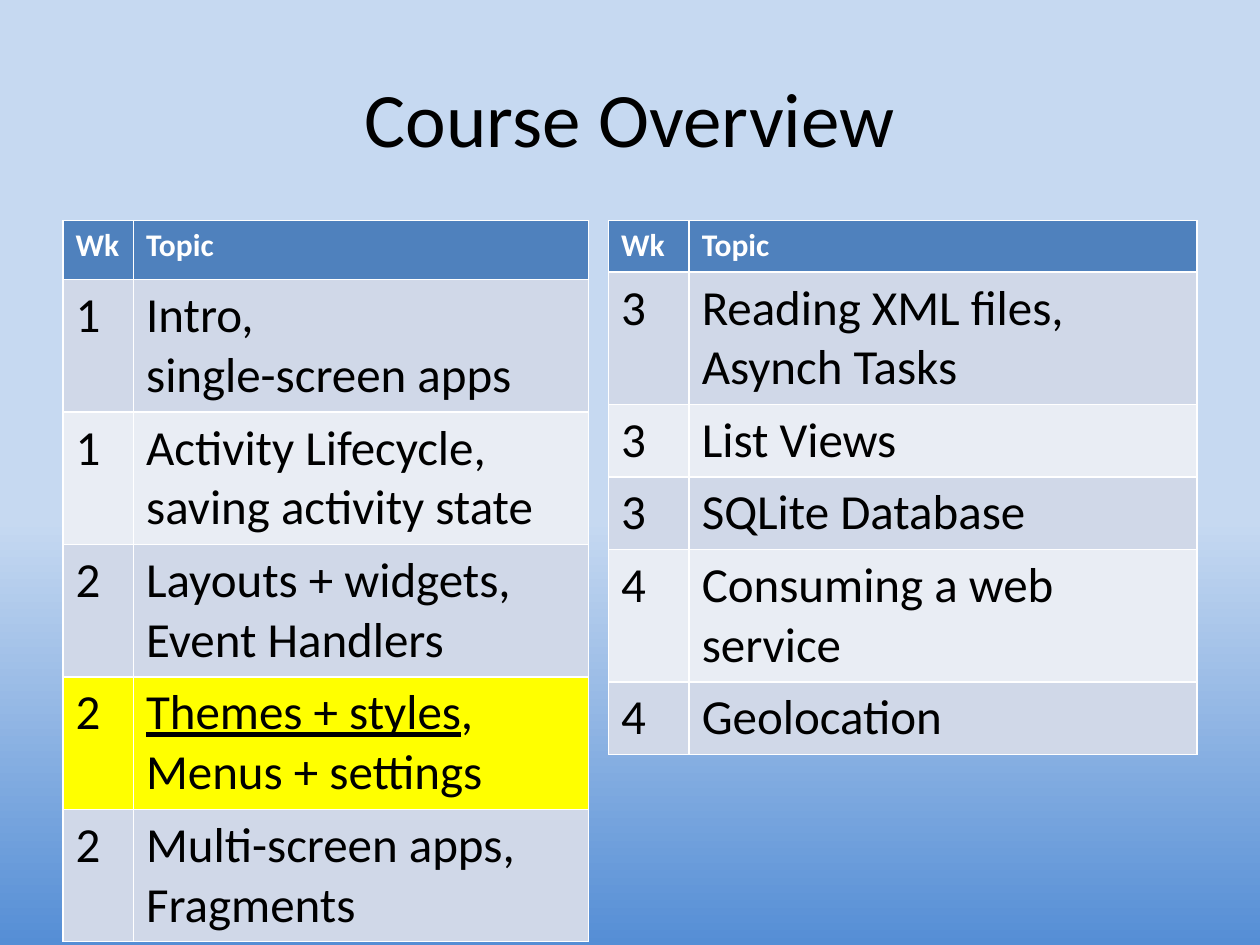
from pptx import Presentation
from pptx import util as u
from pptx.dml import color
from pptx.enum import text

COLORS = {
    "sky": "C6D9F1", "blue": "558ED5", "header": "4F81BD", "white": "FFFFFF",
    "black": "000000", "odd": "D0D8E8", "even": "E9EDF4", "current": "FFFF00",
}
CURRENT = "Themes + styles,\nMenus + settings"
TABLES = [
    (0.5, [0.56, 3.61], [0.47] + [1.05] * 5, [
        ("1", "Intro, \vsingle-screen apps"),
        ("1", "Activity Lifecycle, saving activity state"),
        ("2", "Layouts + widgets,\nEvent Handlers"),
        ("2", CURRENT),
        ("2", "Multi-screen apps, Fragments"),
    ]),
    (4.83, [0.64, 4.03], [0.41, 1.05, 0.57, 0.57, 1.05, 0.57], [
        ("3", "Reading XML files,\nAsynch Tasks"),
        ("3", "List Views"),
        ("3", "SQLite Database"),
        ("4", "Consuming a web service"),
        ("4", "Geolocation"),
    ]),
]


def rgb(name):
    return color.RGBColor.from_string(COLORS[name])


def style(p, size, name, bold=False):
    p.font.name = "Calibri"
    p.font.size = u.Pt(size)
    p.font.bold = bold
    p.font.color.rgb = rgb(name)


prs = Presentation()
prs.slide_width, prs.slide_height = u.Inches(10), u.Inches(7.5)
s = prs.slides.add_slide(prs.slide_layouts[5])

bg = s.background.fill
bg.gradient()
bg.gradient_angle = 270
for stop, position, name in zip(bg.gradient_stops, (0.55, 1), ("sky", "blue")):
    stop.position = position
    stop.color.rgb = rgb(name)

title = s.shapes.title
title.left, title.top = u.Inches(0.5), u.Inches(0.3)
title.width, title.height = u.Inches(9), u.Inches(1.25)
tf = title.text_frame
tf.text = "Course Overview"
tf.vertical_anchor = text.MSO_ANCHOR.MIDDLE
tf.paragraphs[0].alignment = text.PP_ALIGN.CENTER
style(tf.paragraphs[0], 44, "black")

for left, widths, heights, topics in TABLES:
    rows = [("Wk", "Topic")] + topics
    table = s.shapes.add_table(
        len(rows), 2, u.Inches(left), u.Inches(1.75),
        u.Inches(sum(widths)), u.Inches(sum(heights))).table
    for column, width in zip(table.columns, widths):
        column.width = u.Inches(width)
    for i, (row, height) in enumerate(zip(rows, heights)):
        table.rows[i].height = u.Inches(height)
        if i == 0:
            fill = "header"
        elif row[1] == CURRENT:
            fill = "current"
        else:
            fill = "odd" if i % 2 else "even"
        for j, words in enumerate(row):
            cell = table.cell(i, j)
            cell.fill.solid()
            cell.fill.fore_color.rgb = rgb(fill)
            cell.text_frame.text = words
            if words == CURRENT:
                p = cell.text_frame.paragraphs[0]
                p.runs[0].text = "Themes + styles"
                p.runs[0].font.underline = True
                p.add_run().text = ","
            for p in cell.text_frame.paragraphs:
                if i == 0:
                    style(p, 18, "white", bold=True)
                else:
                    style(p, 28, "black")

prs.save("out.pptx")
